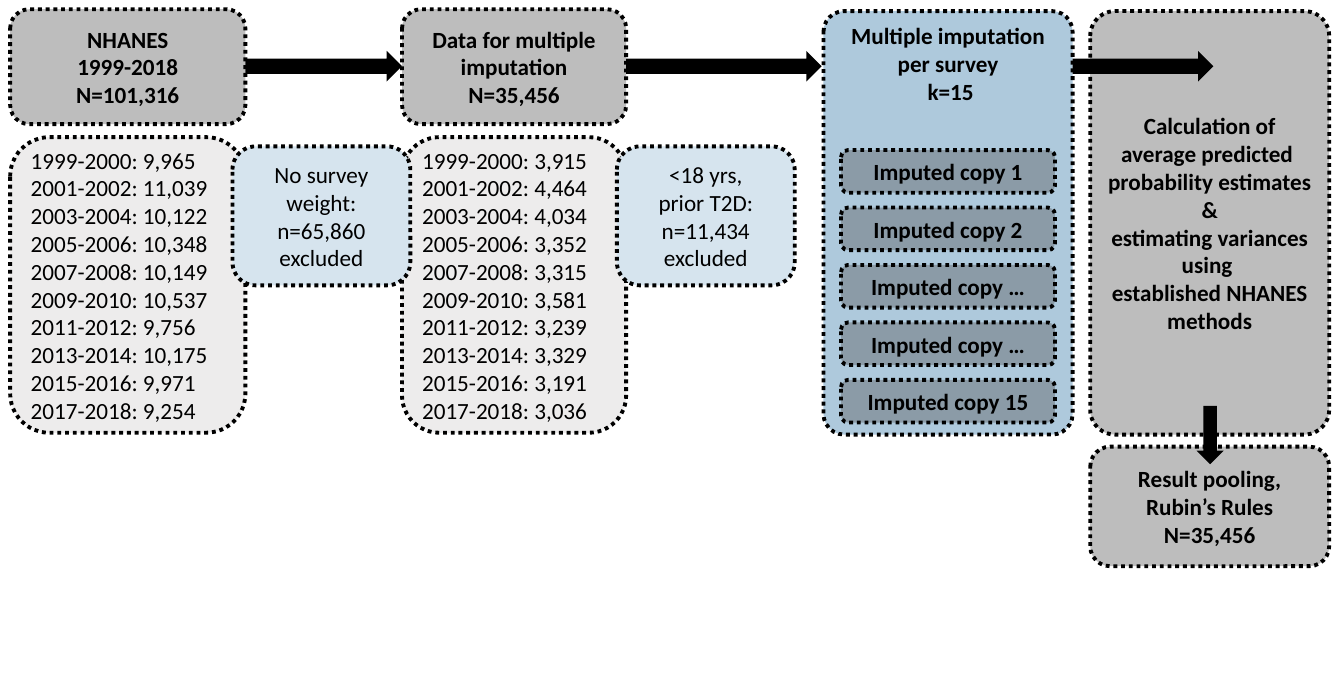
from lxml import etree
from pptx import Presentation
from pptx.dml.color import RGBColor
from pptx.enum.dml import MSO_LINE as Dash
from pptx.enum.shapes import MSO_SHAPE as Kind
from pptx.enum.text import MSO_ANCHOR as Anchor, PP_ALIGN as Align
from pptx.oxml.ns import qn
from pptx.util import Pt

PX = 9144
BLACK = RGBColor(0x00, 0x00, 0x00)
GREY = RGBColor(0x52, 0x52, 0x52)
PALE = RGBColor(0xD0, 0xCE, 0xCE)
BLUE = RGBColor(0xAE, 0xC9, 0xDC)
LIGHT = RGBColor(0xD6, 0xE4, 0xEE)
GLASS = (GREY, PALE)

deck = Presentation()
deck.slide_width, deck.slide_height = 1451 * PX, 750 * PX
slide = deck.slides.add_slide(deck.slide_layouts[6])


def add_form(kind, place, fill):
    form = slide.shapes.add_shape(kind, *[n * PX for n in place])
    form.shadow.inherit = False
    form.fill.solid()
    form.fill.fore_color.rgb = fill
    return form


def add_box(place, fill, text, bold=True, align=Align.CENTER,
            anchor=Anchor.MIDDLE, curve=None):
    box = add_form(Kind.ROUNDED_RECTANGLE, place, fill)
    if curve:
        box.adjustments[0] = curve
    if fill in GLASS:
        tint = box.fill._xPr.find(qn("a:solidFill"))[0]
        etree.SubElement(tint, qn("a:alpha")).set("val", "38000")
    box.line.color.rgb = BLACK
    box.line.width = Pt(3)
    box.line.dash_style = Dash.ROUND_DOT
    frame = box.text_frame
    frame.word_wrap = True
    frame.vertical_anchor = anchor
    frame.text = text
    looks = {"name": "Calibri", "size": Pt(18), "bold": bold}
    for para in frame.paragraphs:
        para.alignment = align
        for run in para.runs:
            for key, value in looks.items():
                setattr(run.font, key, value)
            run.font.color.rgb = BLACK


cohorts = [
    (11, 254, "NHANES\n1999-2018\nN=101,316",
     [9965, 11039, 10122, 10348, 10149, 10537, 9756, 10175, 9971, 9254]),
    (434, 242, "Data for multiple imputation\nN=35,456",
     [3915, 4464, 4034, 3352, 3315, 3581, 3239, 3329, 3191, 3036]),
]
for left, width, head, counts in cohorts:
    add_box((left, 10, width, 124), GREY, head)
    rows = [f"{year}-{year + 1}: {count:,}"
            for year, count in zip(range(1999, 2018, 2), counts)]
    add_box((left, 148, width, 319), PALE, "\n".join(rows), False, Align.LEFT)

dropped = [
    (251, "No survey weight:\nn=65,860 excluded"),
    (666, "<18 yrs,\nprior T2D:\nn=11,434\nexcluded"),
]
for left, text in dropped:
    add_box((left, 158, 192, 150), LIGHT, text, False)

add_box((889, 12, 269, 457), BLUE, "Multiple imputation per survey\n k=15",
        anchor=Anchor.TOP, curve=0.083)
for row, copy in enumerate(["1", "2", "…", "…", "15"]):
    add_box((908, 162 + 62 * row, 231, 46), GREY, f"Imputed copy {copy}")

add_box((1177, 12, 258, 457), GREY,
        "Calculation of average predicted \vprobability estimates &\n"
        "estimating variances using \vestablished NHANES methods",
        curve=0.104)
add_box((1177, 482, 258, 129), GREY,
        "Result pooling,\vRubin’s Rules\nN=35,456")

arrows = [
    (Kind.RIGHT_ARROW, (265, 55, 169, 33)),
    (Kind.RIGHT_ARROW, (676, 55, 211, 33)),
    (Kind.RIGHT_ARROW, (1158, 55, 152, 33)),
    (Kind.DOWN_ARROW, (1292, 438, 29, 63)),
]
for kind, place in arrows:
    add_form(kind, place, BLACK).line.fill.background()

deck.save("out.pptx")
